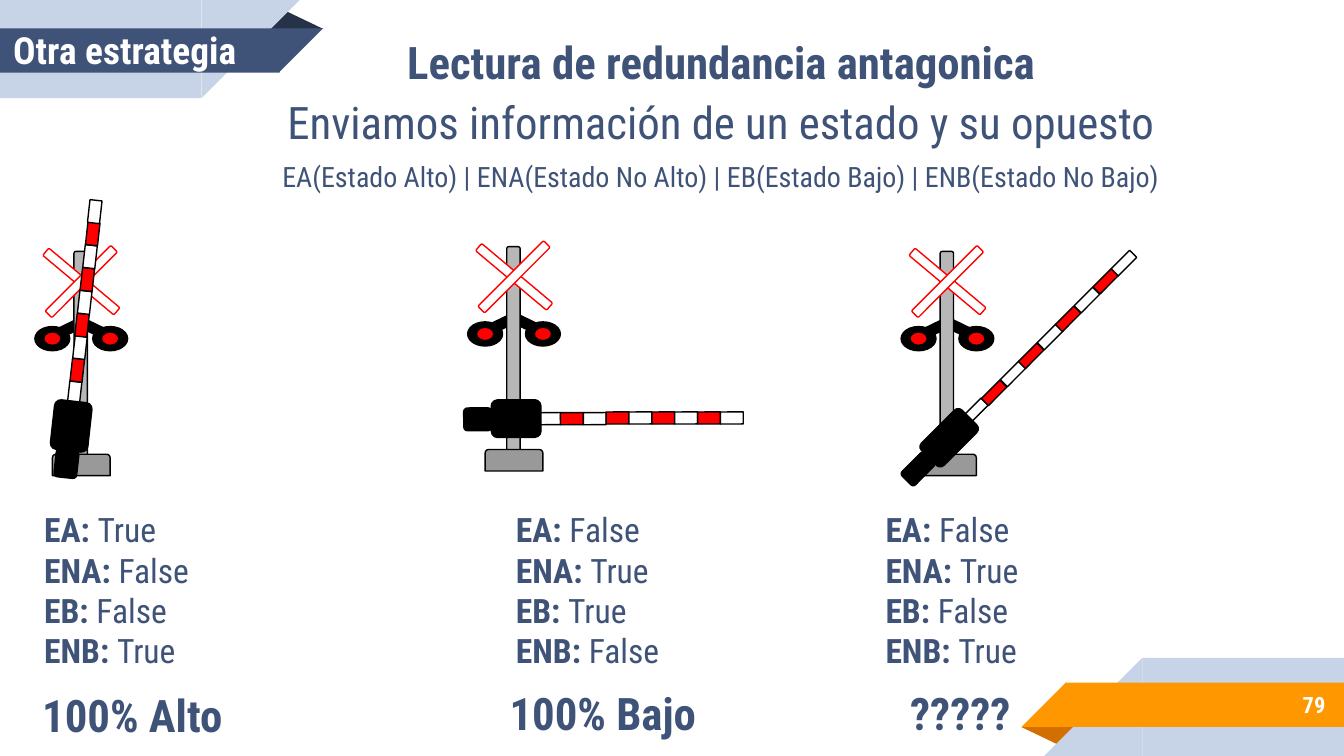
import dataclasses
import math
import typing

import pptx
import pptx.dml.color
import pptx.enum.shapes
import pptx.enum.text
import pptx.util
from lxml import etree

PX = 4572
FONT = "Roboto Condensed"
NAVY, PALE, WHITE, BLACK, RED = "3F5378", "C7D3E6", "FFFFFF", "000000", "FF0000"
KIND = pptx.enum.shapes.MSO_SHAPE
ALIGN = pptx.enum.text.PP_ALIGN


@dataclasses.dataclass(frozen=True)
class Part:
    kind: KIND
    left: int
    top: int
    width: int
    height: int
    fill: str
    line: typing.Optional[str] = None
    turn: float = 0
    flip: bool = False
    adjust: typing.Optional[float] = None


@dataclasses.dataclass(frozen=True)
class Label:
    text: str
    left: int
    top: int
    width: int
    height: int
    size: int
    color: str = NAVY
    bold: bool = True
    align: ALIGN = ALIGN.CENTER


@dataclasses.dataclass(frozen=True)
class Arm:
    x: int
    y: int
    turn: float
    stripe: int
    thickness: int


@dataclasses.dataclass(frozen=True)
class Crossing:
    dx: int
    dy: int
    arm: Arm
    readings_left: int
    readings: tuple[bool, bool, bool, bool]
    verdict: Label


def px(value: float) -> int:
    return round(value * PX)


def rgb(color: str) -> pptx.dml.color.RGBColor:
    return pptx.dml.color.RGBColor.from_string(color)


def draw_part(slide, part: Part, dx: int = 0, dy: int = 0) -> None:
    shape = slide.shapes.add_shape(part.kind, px(part.left + dx), px(part.top + dy),
                                   px(part.width), px(part.height))
    shape.shadow.inherit = False
    shape.rotation = part.turn
    shape.fill.solid()
    shape.fill.fore_color.rgb = rgb(part.fill)
    if part.line:
        shape.line.color.rgb = rgb(part.line)
        shape.line.width = pptx.util.Pt(0.75)
    else:
        shape.line.fill.background()
    if part.flip:
        shape._element.spPr.xfrm.set("flipH", "1")
    if part.adjust is not None:
        shape.adjustments[0] = part.adjust


def draw_bracket(slide, x1: int, y1: int, x2: int, y2: int) -> None:
    bracket = slide.shapes.add_connector(pptx.enum.shapes.MSO_CONNECTOR.STRAIGHT,
                                         px(x1), px(y1), px(x2), px(y2))
    bracket.line.color.rgb = rgb(BLACK)
    bracket.line.width = pptx.util.Pt(6)
    etree.SubElement(bracket._element.spPr,
                     "{http://schemas.openxmlformats.org/drawingml/2006/main}effectLst")


def add_frame(slide, left: int, top: int, width: int, height: int):
    frame = slide.shapes.add_textbox(px(left), px(top), px(width), px(height)).text_frame
    frame.word_wrap = True
    frame.vertical_anchor = pptx.enum.text.MSO_ANCHOR.MIDDLE
    frame.margin_left = frame.margin_right = frame.margin_top = frame.margin_bottom = px(20)
    return frame


def style(paragraph, size: int, color: str) -> None:
    paragraph.font.name = FONT
    paragraph.font.size = pptx.util.Pt(size)
    paragraph.font.color.rgb = rgb(color)


def draw_label(slide, label: Label) -> None:
    paragraph = add_frame(slide, label.left, label.top, label.width, label.height).paragraphs[0]
    paragraph.alignment = label.align
    style(paragraph, label.size, label.color)
    paragraph.font.bold = label.bold
    paragraph.add_run().text = label.text


def draw_readings(slide, left: int, readings: tuple[bool, bool, bool, bool]) -> None:
    frame = add_frame(slide, left, 720, 304, 316)
    values = dict(zip(("EA", "ENA", "EB", "ENB"), readings))
    for names in (("EA", "ENA", "EB"), ("ENB",)):
        paragraph = frame.paragraphs[0] if names[0] == "EA" else frame.add_paragraph()
        style(paragraph, 18, NAVY)
        for name in names:
            if name != names[0]:
                paragraph.add_line_break()
            for text, bold in ((f"{name}: ", True), (str(values[name]), False)):
                run = paragraph.add_run()
                run.text = text
                run.font.bold = bold


def draw_arm(slide, arm: Arm) -> None:
    angle = math.radians(arm.turn)
    stretch, widen = arm.stripe / 34, arm.thickness / 18

    def place(kind: KIND, along: float, width: int, height: int, fill: str) -> None:
        left = arm.x + along * math.sin(angle) - width / 2
        top = arm.y - along * math.cos(angle) - height / 2
        draw_part(slide, Part(kind, round(left), round(top), width, height, fill, BLACK, arm.turn))

    for number in range(9):
        place(KIND.RECTANGLE, number * arm.stripe, arm.thickness, arm.stripe,
              RED if number % 2 else WHITE)
    for back, width, height in ((49, 56, 74), (106, 34, 42)):
        place(KIND.ROUNDED_RECTANGLE, -back * stretch, round(width * widen),
              round(height * stretch), BLACK)


def draw_crossing(slide, crossing: Crossing) -> None:
    dx, dy = crossing.dx, crossing.dy
    for outer in (88, 154):
        draw_bracket(slide, outer + dx, 496 + dy, 121 + dx, 480 + dy)
    for part in SIGNAL:
        draw_part(slide, part, dx, dy)
    for lamp in (0, 86):
        for part in LAMP:
            draw_part(slide, part, dx + lamp, dy)
    draw_arm(slide, crossing.arm)
    draw_readings(slide, crossing.readings_left, crossing.readings)
    draw_label(slide, crossing.verdict)


RIBBONS = (
    Part(KIND.ISOSCELES_TRIANGLE, 1520, 1082, 86, 28, "D26F00", turn=180, adjust=0.32),
    Part(KIND.RECTANGLE, 1700, 979, 300, 146, PALE, flip=True),
    Part(KIND.RIGHT_TRIANGLE, 1554, 979, 146, 146, PALE, flip=True),
    Part(KIND.RECTANGLE, 1585, 1016, 415, 66, "FF9800", flip=True),
    Part(KIND.RIGHT_TRIANGLE, 1520, 1016, 66, 66, "FF9800", flip=True),
    Part(KIND.ISOSCELES_TRIANGLE, 395, 15, 86, 28, "263248", adjust=0.32),
    Part(KIND.RECTANGLE, 0, 0, 300, 146, PALE, turn=180, flip=True),
    Part(KIND.RIGHT_TRIANGLE, 300, 0, 146, 146, PALE, turn=180, flip=True),
    Part(KIND.RECTANGLE, 0, 42, 416, 66, NAVY, turn=180, flip=True),
    Part(KIND.RIGHT_TRIANGLE, 415, 42, 66, 66, NAVY, turn=180, flip=True),
)
SIGNAL = (
    Part(KIND.ROUNDED_RECTANGLE, -38, 522, 316, 20, "B7B7B7", BLACK, 90),
    Part(KIND.ROUND_2_SAME_RECTANGLE, 78, 676, 86, 32, "999999", BLACK),
    Part(KIND.ROUNDED_RECTANGLE, 114, 350, 14, 138, WHITE, RED, 130),
    Part(KIND.ROUNDED_RECTANGLE, 114, 350, 14, 138, WHITE, RED, 45),
)
LAMP = (
    Part(KIND.OVAL, 52, 486, 52, 36, BLACK, BLACK),
    Part(KIND.OVAL, 65, 494, 26, 20, RED, BLACK),
)
LABELS = (
    Label("Otra estrategia", 0, 38, 412, 70, 20, WHITE, align=ALIGN.LEFT),
    Label("79", 1666, 1014, 326, 70, 12, WHITE, align=ALIGN.RIGHT),
    Label("Lectura de redundancia antagonica", 528, 28, 1090, 126, 24),
    Label("Enviamos información de un estado y su opuesto", 380, 118, 1386, 126, 24, bold=False),
    Label("EA(Estado Alto) | ENA(Estado No Alto) | EB(Estado Bajo) | ENB(Estado No Bajo)",
          380, 200, 1386, 126, 15, bold=False),
)
CROSSINGS = (
    Crossing(0, 0, Arm(111, 585, 6.4, 34, 18), 46, (True, False, False, True),
             Label("100% Alto", 26, 1028, 342, 70, 24)),
    Crossing(644, -7, Arm(817, 623, 89.7, 34, 18), 748, (False, True, True, False),
             Label("100% Bajo", 726, 1026, 342, 70, 24)),
    Crossing(1289, 0, Arm(1452, 612, 45, 39, 15), 1298, (False, True, False, True),
             Label("?????", 1258, 1026, 342, 70, 24)),
)


def main() -> None:
    deck = pptx.Presentation()
    deck.slide_width, deck.slide_height = px(2000), px(1125)
    slide = deck.slides.add_slide(deck.slide_layouts[6])
    for ribbon in RIBBONS:
        draw_part(slide, ribbon)
    for label in LABELS:
        draw_label(slide, label)
    for crossing in CROSSINGS:
        draw_crossing(slide, crossing)
    deck.save("out.pptx")


if __name__ == "__main__":
    main()
